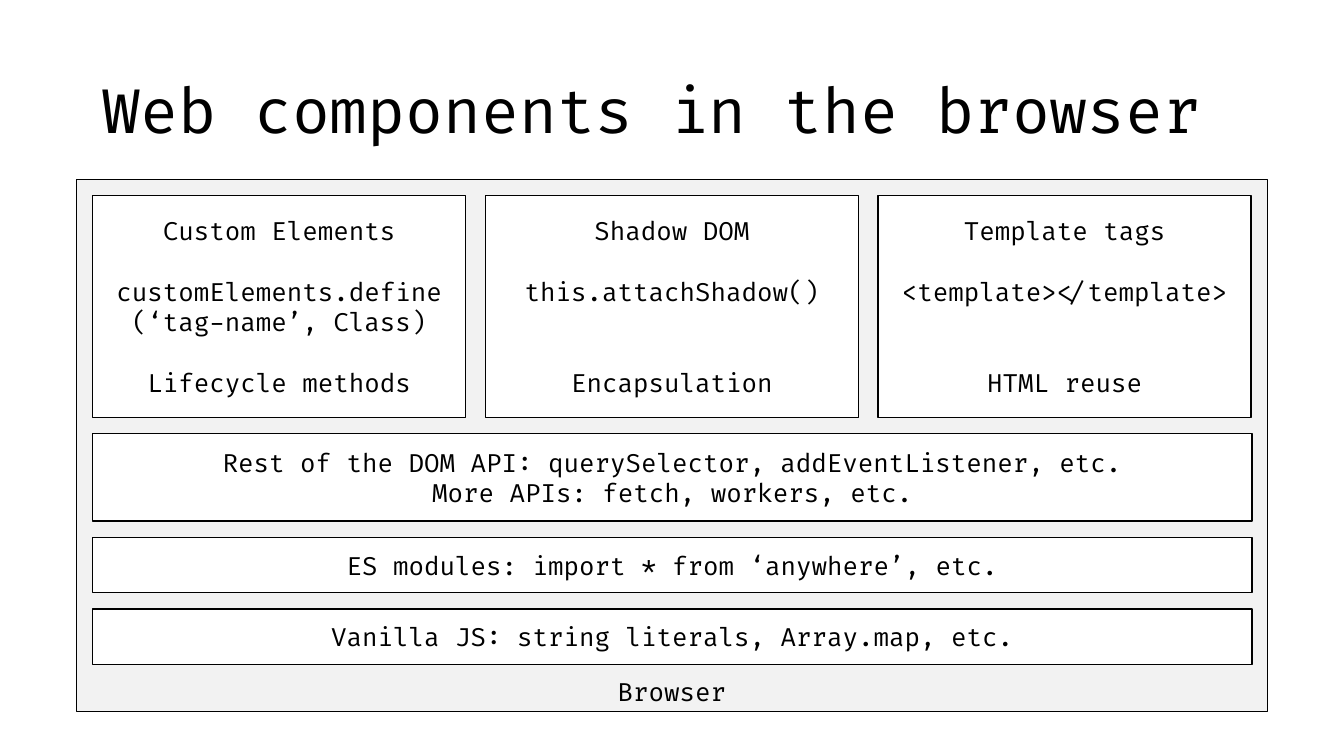
import pptx
import pptx.util
import pptx.dml.color
import pptx.enum.shapes
import pptx.enum.text

TITLE = "Web components in the browser"
FRAME = "Browser"
CARDS = [
    [("Custom Elements", 0), ("customElements.define\n(‘tag-name’, Class)", 1), ("Lifecycle methods", 1)],
    [("Shadow DOM", 0), ("this.attachShadow()", 1), ("Encapsulation", 2)],
    [("Template tags", 0), ("<template></template>", 1), ("HTML reuse", 2)],
]
BARS = [
    (0.87, ["Rest of the DOM API: querySelector, addEventListener, etc.", "More APIs: fetch, workers, etc."]),
    (0.55, ["ES modules: import * from ‘anywhere’, etc."]),
    (0.55, ["Vanilla JS: string literals, Array.map, etc."]),
]
COLORS = {"ink": "000000", "frame": "F2F2F2", "box": "FFFFFF"}
FONT = "Fira Code"
LINE = 21.6
LEFT, TOP, WIDTH = 0.92, 1.94, 11.5
CARD_W, CARD_H, STEP, GAP = 3.7, 2.2, 3.895, 0.16

Inches, Pt = pptx.util.Inches, pptx.util.Pt
ANCHOR = pptx.enum.text.MSO_ANCHOR
ALIGN = pptx.enum.text.PP_ALIGN


def color(name):
    return pptx.dml.color.RGBColor.from_string(COLORS[name])


def write(shape, paras, size, align, anchor):
    frame = shape.text_frame
    frame.word_wrap = True
    frame.vertical_anchor = anchor
    for i, (text, skip) in enumerate(paras):
        para = frame.add_paragraph() if i else frame.paragraphs[0]
        para.alignment = align
        para.space_before = Pt(skip * LINE)
        for j, part in enumerate(text.split("\n")):
            if j:
                para.add_line_break()
            run = para.add_run()
            run.text = part
            run.font.name = FONT
            run.font.size = Pt(size)
            run.font.color.rgb = color("ink")


def box(slide, area, fill, paras, anchor=ANCHOR.MIDDLE):
    kind = pptx.enum.shapes.MSO_SHAPE.RECTANGLE
    shape = slide.shapes.add_shape(kind, *map(Inches, area))
    shape.shadow.inherit = False
    shape.fill.solid()
    shape.fill.fore_color.rgb = color(fill)
    shape.line.color.rgb = color("ink")
    shape.line.width = Pt(1)
    write(shape, paras, 18, ALIGN.CENTER, anchor)


def main():
    """Build the slide of browser layers."""
    deck = pptx.Presentation()
    deck.slide_width, deck.slide_height = Inches(13.33), Inches(7.5)
    slide = deck.slides.add_slide(deck.slide_layouts[6])

    box(slide, (0.76, 1.78, 11.81, 5.28), "frame", [(FRAME, 0)], ANCHOR.BOTTOM)
    title = slide.shapes.add_textbox(*map(Inches, (LEFT, 0.4, WIDTH, 1.45)))
    write(title, [(TITLE, 0)], 44, ALIGN.LEFT, ANCHOR.MIDDLE)
    title.text_frame.paragraphs[0].line_spacing = 0.9

    for i, paras in enumerate(CARDS):
        box(slide, (LEFT + i * STEP, TOP, CARD_W, CARD_H), "box", paras)

    top = TOP + CARD_H + GAP
    for height, lines in BARS:
        box(slide, (LEFT, top, WIDTH, height), "box", [(text, 0) for text in lines])
        top += height + GAP

    deck.save("out.pptx")


if __name__ == "__main__":
    main()
